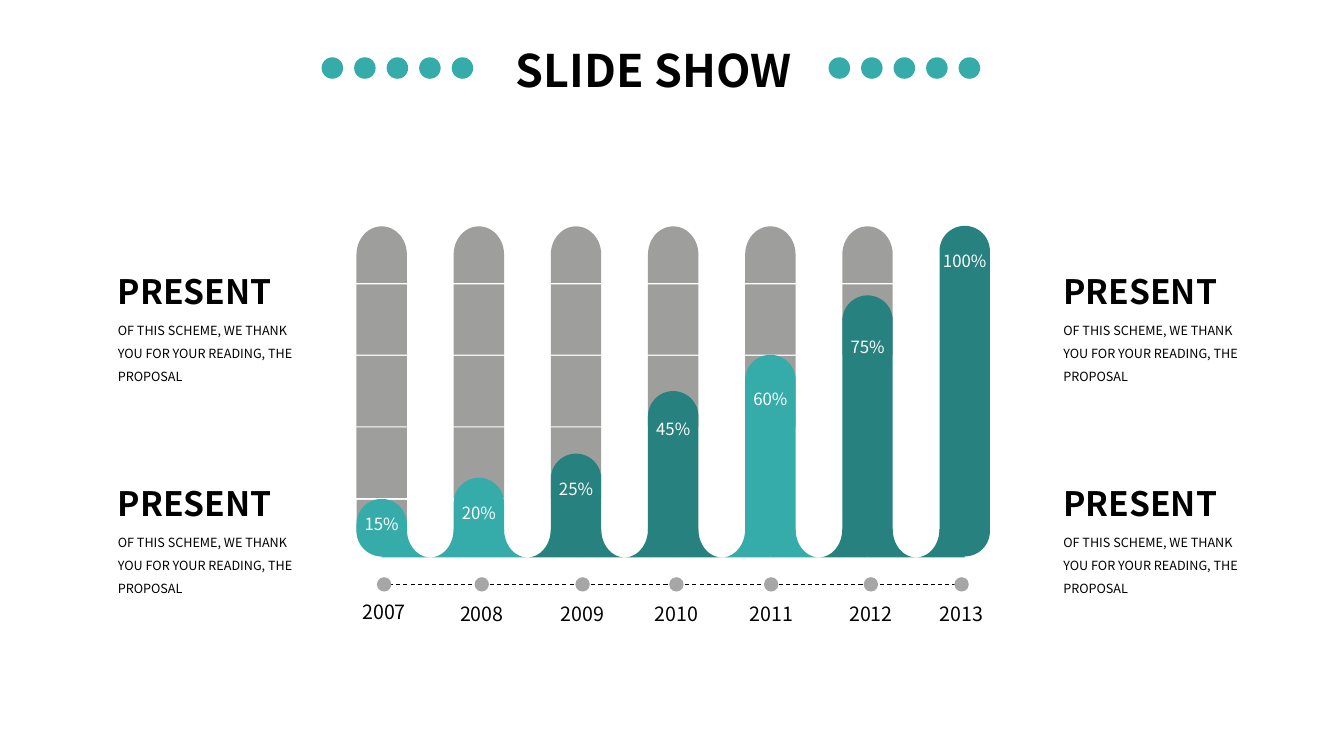
from math import cos, pi, sin

from lxml.etree import SubElement
from pptx import Presentation
from pptx.dml.color import RGBColor
from pptx.enum.dml import MSO_LINE
from pptx.enum.shapes import MSO_CONNECTOR, MSO_SHAPE as Preset
from pptx.enum.text import MSO_ANCHOR, MSO_AUTO_SIZE, PP_ALIGN as Align
from pptx.oxml.ns import qn
from pptx.util import Inches, Pt

WIDTH, HEIGHT = Inches(13.33), Inches(7.5)
FONT = "Noto Sans CJK JP"
COLORS = {"teal": "35ACA9", "deep": "27817E", "track": "3E3E3D",
          "dot": "A6A6A6", "black": "000000", "white": "FFFFFF"}

# All lengths are percentages of the slide's width or height
FIRST, LAST = 28.4, 71.78
BAR_WIDTH, BAR_BOTTOM = 3.75, 73.6
CAP_HEIGHT, SEGMENT_HEIGHT = 7.47, 9.33
SEGMENT_TOPS = [37.6 + 9.47 * row for row in range(3)]
TOP_CAP, BOTTOM_CAP = 29.93, 66.13
FOOT_TOP, FOOT_BOTTOM = 70, 73.73
TIMELINE = 77.3

# Year, share, colour, bar top, label top, timeline dot
COLUMNS = [
    ("2007", "15%", "teal", 66, 67.33, 28.58),
    ("2008", "20%", "teal", 63.2, 65.87, 35.85),
    ("2009", "25%", "deep", 60, 62.67, 43.35),
    ("2010", "45%", "deep", 51.73, 54.8, 50.33),
    ("2011", "60%", "teal", 46.93, 50.8, 57.38),
    ("2012", "75%", "deep", 39.07, 43.87, 64.8),
    ("2013", "100%", "deep", 29.87, 32.53, 71.55),
]
PITCH = (LAST - FIRST) / (len(COLUMNS) - 1)


def across(share):
    return round(WIDTH * share / 100)


def down(share):
    return round(HEIGHT * share / 100)


def color(name):
    return RGBColor.from_string(COLORS[name])


def paint(shape, fill, alpha=None):
    shape.shadow.inherit = False
    shape.fill.solid()
    shape.fill.fore_color.rgb = color(fill)
    shape.line.fill.background()
    if alpha:
        tint = shape.fill._xPr.find(qn("a:solidFill"))[0]
        SubElement(tint, qn("a:alpha"), val=str(alpha * 1000))


def add_preset(slide, preset, center, top, width, height, fill, alpha=None):
    shape = slide.shapes.add_shape(preset, across(center - width / 2), down(top),
                                   across(width), down(height))
    paint(shape, fill, alpha)
    return shape


def add_dot(slide, center, middle, width, fill):
    height = width * WIDTH / HEIGHT
    add_preset(slide, Preset.OVAL, center, middle - height / 2, width, height, fill)


def write(shape, text, size, fill="black", bold=False, align=Align.LEFT,
          wrap=True, spacing=None):
    frame = shape.text_frame
    frame.text = text
    frame.word_wrap = wrap
    frame.auto_size = MSO_AUTO_SIZE.SHAPE_TO_FIT_TEXT
    frame.vertical_anchor = MSO_ANCHOR.TOP
    paragraph = frame.paragraphs[0]
    paragraph.alignment = align
    if spacing:
        paragraph.line_spacing = spacing
    for run in paragraph.runs:
        run.font.name = FONT
        run.font.size = Pt(size)
        run.font.bold = bold
        run.font.color.rgb = color(fill)


def add_text(slide, left, top, width, height, text, size, **style):
    box = slide.shapes.add_textbox(across(left), down(top), across(width), down(height))
    write(box, text, size, **style)


def add_cap(slide, center, top, rotation):
    # The shape is laid on its side and then turned about its centre
    length, thickness = down(CAP_HEIGHT), across(BAR_WIDTH)
    cap = slide.shapes.add_shape(
        Preset.FLOWCHART_DELAY, across(center) - length // 2,
        down(top) + (length - thickness) // 2, length, thickness)
    cap.rotation = rotation
    paint(cap, "track", 50)


def add_track(slide, center, bar_top):
    # Only the parts that reach above the bar
    def shows(top):
        return bar_top + 2.6 > top

    if bar_top > TOP_CAP:
        add_cap(slide, center, TOP_CAP, 270)
    for top in filter(shows, SEGMENT_TOPS):
        add_preset(slide, Preset.RECTANGLE, center, top, BAR_WIDTH,
                   SEGMENT_HEIGHT, "track", 50)
    if shows(BOTTOM_CAP):
        add_cap(slide, center, BOTTOM_CAP, 90)


def add_foot(slide, center, side, fill):
    reach, steps = PITCH / 2, 16
    radius = reach - BAR_WIDTH / 2
    angles = [pi / 2 * step / steps for step in range(steps + 1)]
    curve = [(across(center + side * (reach - radius * cos(angle))),
              down(FOOT_TOP + (FOOT_BOTTOM - FOOT_TOP) * sin(angle)))
             for angle in angles]
    builder = slide.shapes.build_freeform(across(center), down(FOOT_TOP))
    builder.add_line_segments(curve + [(across(center), down(FOOT_BOTTOM))], close=True)
    paint(builder.convert_to_shape(), fill)


def add_column(slide, index):
    _, share, fill, bar_top, label_top, _ = COLUMNS[index]
    center = FIRST + PITCH * index
    add_track(slide, center, bar_top)
    if index < len(COLUMNS) - 1:
        add_foot(slide, center, 1, fill)
    if index > 0:
        add_foot(slide, center, -1, fill)
    bar = add_preset(slide, Preset.ROUNDED_RECTANGLE, center, bar_top,
                     BAR_WIDTH, BAR_BOTTOM - bar_top, fill)
    bar.adjustments[0] = 0.5
    add_text(slide, center - 3.25, label_top, 6.5, 4, share, 12,
             fill="white", align=Align.CENTER)


def add_timeline(slide):
    line = slide.shapes.add_connector(MSO_CONNECTOR.STRAIGHT, across(FIRST),
                                      down(TIMELINE), across(LAST), down(TIMELINE))
    line.line.color.rgb = color("black")
    line.line.width = Pt(0.75)
    line.line.dash_style = MSO_LINE.DASH
    SubElement(line._element.spPr, qn("a:effectLst"))
    for index, (year, _, _, _, _, center) in enumerate(COLUMNS):
        add_dot(slide, center, TIMELINE, 1.07, "dot")
        top = 78.93 if index else 78.67
        add_text(slide, center - 3.15, top, 6.3, 4.53, year, 14, align=Align.CENTER)


def add_note(slide, left, top):
    add_text(slide, left, top, 13.42, 6.67, "PRESENT", 24, bold=True, wrap=False)
    add_text(slide, left, top + 5.9, 15.83, 10,
             "OF THIS SCHEME, WE THANK YOU FOR YOUR READING, THE PROPOSAL",
             9, spacing=1.5)


def add_title(slide):
    title = slide.shapes.title
    title.left, title.top = across(36.38), down(4.93)
    title.width, title.height = across(24.53), down(8.53)
    write(title, "SLIDE SHOW", 32, bold=True, align=Align.CENTER, wrap=False)
    for start in (24.73, 62.45):
        for step in range(5):
            add_dot(slide, start + 2.42 * step, 9, 1.6, "teal")


def main():
    presentation = Presentation()
    presentation.slide_width, presentation.slide_height = WIDTH, HEIGHT
    slide = presentation.slides.add_slide(presentation.slide_layouts[5])

    # Heading
    add_title(slide)

    # Bars and years
    for index in range(len(COLUMNS)):
        add_column(slide, index)
    add_timeline(slide)

    # Notes on both sides
    for left in (8.03, 78.38):
        for top in (35.2, 63.2):
            add_note(slide, left, top)

    presentation.save("out.pptx")


if __name__ == "__main__":
    main()
